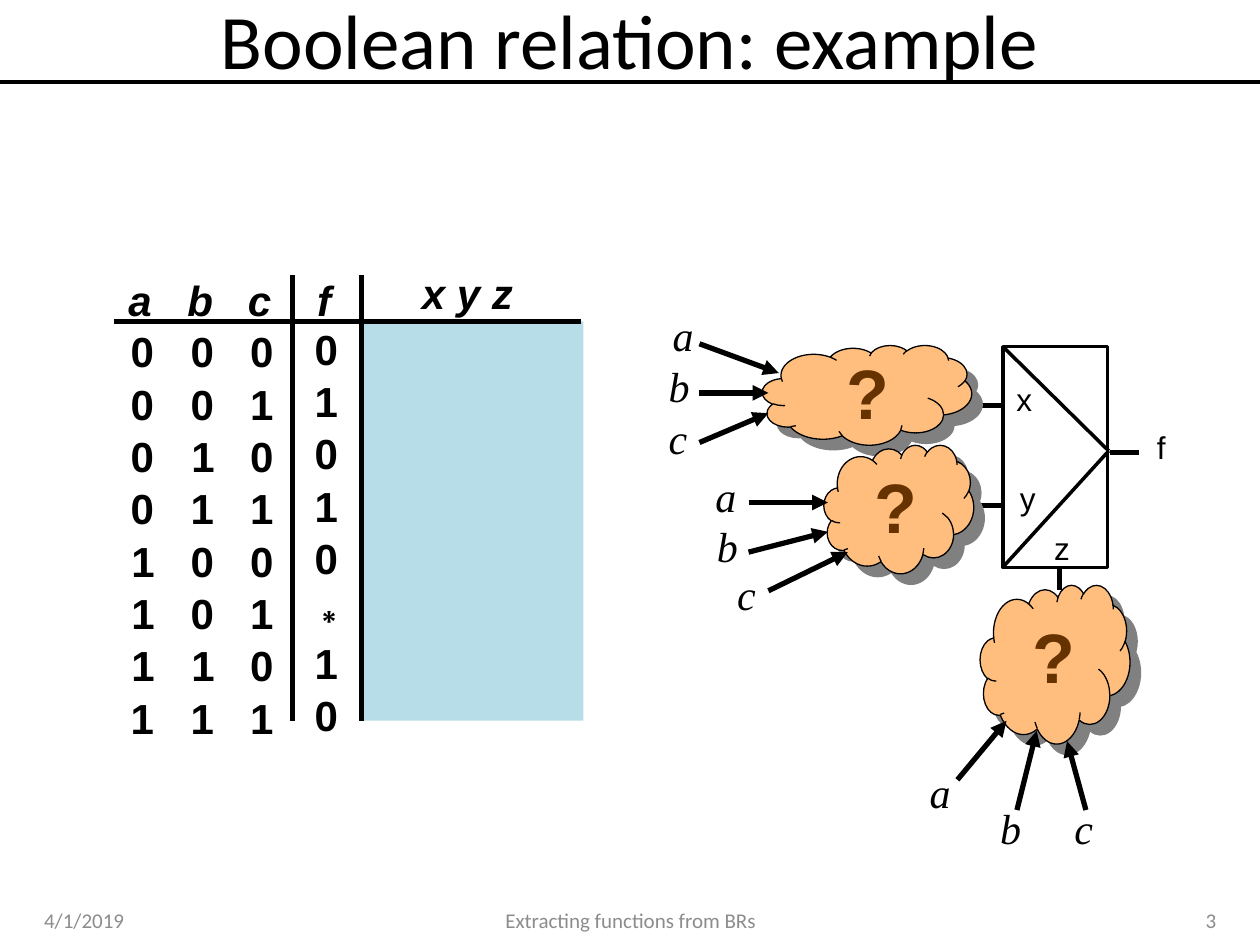
"""Build the slide on Boolean relations: a truth table beside a multiplexer circuit."""
import dataclasses

import pptx
import pptx.dml.color
import pptx.enum.shapes
import pptx.enum.text
import pptx.oxml
import pptx.oxml.ns
import pptx.util
from pptx.util import Cm

ALIGN = pptx.enum.text.PP_ALIGN
SHAPE = pptx.enum.shapes.MSO_SHAPE


@dataclasses.dataclass(frozen=True)
class Theme:
    """Colours, fonts, type sizes and line widths of the slide."""
    ink: str = "000000"
    relation: str = "B7DEE8"
    cloud: str = "FFBE7D"
    shadow: str = "808080"
    question: str = "663300"
    muted: str = "8C8C8C"
    heading: str = "Calibri"
    sans: str = "Arial"
    serif: str = "Times New Roman"
    title_size: int = 44
    question_size: int = 40
    table_size: int = 24
    pin_size: int = 18
    footer_size: int = 12
    thick: float = 3
    medium: float = 2
    thin: float = 0.75


THEME = Theme()


def colour(value):
    """Return an RGB colour."""
    return pptx.dml.color.RGBColor.from_string(value)


def add_text(page, text, left, top, width, height, *, size, font=THEME.sans,
             ink=THEME.ink, align=ALIGN.CENTER, bold=False, italic=False,
             wrap=True, middle=False, spacing=None):
    """Add a text box with one formatted paragraph."""
    box = page.shapes.add_textbox(Cm(left), Cm(top), Cm(width), Cm(height))
    frame = box.text_frame
    frame.word_wrap = wrap
    anchor = pptx.enum.text.MSO_ANCHOR
    frame.vertical_anchor = anchor.MIDDLE if middle else anchor.TOP
    para = frame.paragraphs[0]
    para.alignment = align
    if spacing:
        para.line_spacing = spacing
    span = para.add_run()
    span.text = text
    span.font.name = font
    span.font.size = pptx.util.Pt(size)
    span.font.bold = bold
    span.font.italic = italic
    span.font.color.rgb = colour(ink)


def add_line(page, start, end, width=THEME.thick, arrow=False):
    """Add a straight line, with an arrowhead at its end on request."""
    points = [Cm(value) for value in (*start, *end)]
    line = page.shapes.add_connector(pptx.enum.shapes.MSO_CONNECTOR.STRAIGHT, *points)
    line.line.color.rgb = colour(THEME.ink)
    line.line.width = pptx.util.Pt(width)
    properties = line.element.spPr
    if arrow:
        outline = properties.find(pptx.oxml.ns.qn("a:ln"))
        outline.append(pptx.oxml.parse_xml(
            f'<a:tailEnd {pptx.oxml.ns.nsdecls("a")} type="triangle"/>'))
    properties.append(pptx.oxml.parse_xml(
        f'<a:effectLst {pptx.oxml.ns.nsdecls("a")}/>'))


def add_block(page, kind, left, top, width, height, fill=None, outline=None):
    """Add a preset shape without shadow and return it."""
    block = page.shapes.add_shape(kind, Cm(left), Cm(top), Cm(width), Cm(height))
    block.shadow.inherit = False
    if fill:
        block.fill.solid()
        block.fill.fore_color.rgb = colour(fill)
    else:
        block.fill.background()
    if outline:
        block.line.color.rgb = colour(THEME.ink)
        block.line.width = pptx.util.Pt(outline)
    else:
        block.line.fill.background()
    return block


def add_cloud(page, bounds, question):
    """Add an unknown function as a cloud with a hard shadow and a question mark."""
    cloud = add_block(page, SHAPE.CLOUD, *bounds, THEME.cloud, THEME.thin)
    effects = cloud.element.spPr.find(pptx.oxml.ns.qn("a:effectLst"))
    effects.append(pptx.oxml.parse_xml(
        f'<a:outerShdw {pptx.oxml.ns.nsdecls("a")} dist="{pptx.util.Pt(8.5)}" '
        f'dir="2700000" algn="ctr" rotWithShape="0">'
        f'<a:srgbClr val="{THEME.shadow}"/></a:outerShdw>'))
    add_text(page, "?", *question, 1.37, 1.96, size=THEME.question_size,
             ink=THEME.question, align=ALIGN.LEFT, bold=True, wrap=False)


def add_inputs(page, inputs):
    """Add the arrows that enter a cloud, each with its variable."""
    for name, (label, start, end) in zip("abc", inputs):
        add_line(page, start, end, arrow=True)
        add_text(page, name, *label, 0.94, 1.27, size=THEME.table_size,
                 font=THEME.serif, align=ALIGN.LEFT, italic=True, wrap=False)


def add_truth_table(page):
    """Add the truth table with its empty relation column."""
    add_block(page, SHAPE.RECTANGLE, 7.34, 6.48, 4.42, 8.05, THEME.relation)
    columns = [("a", "00001111", 2.87, 6.4), ("b", "00110011", 4.08, 6.4),
               ("c", "01010101", 5.28, 6.4), ("f", "01010∗10", 6.58, 6.35)]
    style = {"size": THEME.table_size, "bold": True}
    for name, digits, centre, top in columns:
        add_text(page, name, centre - 0.77, 5.4, 1.45, 0.84, italic=True, **style)
        add_text(page, digits, centre - 0.61, top, 1.22, 4.9, spacing=1.04, **style)
    add_text(page, "x y z", 7.8, 5.27, 3.25, 0.84, italic=True, **style)
    add_line(page, (2.29, 6.48), (11.71, 6.48))
    for across in (5.89, 7.29):
        add_line(page, (across, 5.54), (across, 14.53))


def add_multiplexer(page):
    """Add the multiplexer with its pins."""
    add_block(page, SHAPE.RECTANGLE, 20.22, 6.99, 2.11, 4.45, outline=THEME.medium)
    for corner in (6.99, 11.43):
        add_line(page, (20.22, corner), (22.35, 9.09), THEME.medium)
    for name, left, top in [("f", 22.98, 8.51), ("x", 20.22, 7.54),
                            ("y", 20.29, 9.53), ("z", 20.98, 10.54)]:
        add_text(page, name, left, top, 0.86, 1.09, size=THEME.pin_size, wrap=False)
    for start, end in [((21.36, 11.46), (21.36, 11.89)), ((20.19, 10.19), (19.58, 10.19)),
                       ((20.19, 8.18), (19.58, 8.18)), ((22.96, 9.12), (22.38, 9.12))]:
        add_line(page, start, end)


def add_footer(page):
    """Add the date, the talk title and the page number."""
    for text, left, width, align in [
            ("4/1/2019", 0.64, 7.42, ALIGN.LEFT),
            ("Extracting functions from BRs", 8.69, 8.05, ALIGN.CENTER),
            ("3", 18.85, 5.92, ALIGN.RIGHT)]:
        add_text(page, text, left, 18.03, width, 1.02, size=THEME.footer_size,
                 font=THEME.heading, ink=THEME.muted, align=align, middle=True)


def main():
    """Build and save the deck."""
    deck = pptx.Presentation()
    deck.slide_width, deck.slide_height = Cm(25.4), Cm(19.05)
    page = deck.slides.add_slide(deck.slide_layouts[6])
    add_line(page, (0, 1.65), (25.4, 1.65), THEME.medium)
    add_text(page, "Boolean relation: example", 1.27, -0.05, 22.86, 1.65,
             size=THEME.title_size, font=THEME.heading, middle=True)
    add_truth_table(page)
    add_multiplexer(page)
    clouds = [
        ((15.37, 6.96, 4.22, 2.01), (16.81, 6.93),
         [((13.31, 6.12), (14.1, 6.93), (15.7, 7.52)),
          ((13.23, 7.14), (14.1, 7.92), (15.49, 7.92)),
          ((13.23, 8.2), (14.1, 8.92), (15.49, 8.33))]),
        ((16.61, 8.97, 3.02, 2.59), (17.37, 9.22),
         [((14.17, 9.37), (15.09, 10.13), (16.69, 10.13)),
          ((14.2, 10.36), (15.09, 11.13), (16.69, 10.72)),
          ((14.61, 11.33), (15.49, 11.91), (17.09, 11.13))]),
        ((19.76, 11.79, 3.02, 3.2), (20.57, 12.24),
         [((18.49, 15.32), (19.3, 15.72), (20.29, 14.53)),
          ((19.91, 16.05), (20.5, 16.33), (20.9, 14.73)),
          ((21.41, 16.05), (21.89, 16.33), (21.51, 14.94))]),
    ]
    for bounds, question, inputs in clouds:
        add_cloud(page, bounds, question)
        add_inputs(page, inputs)
    add_footer(page)
    deck.save("out.pptx")


if __name__ == "__main__":
    main()
